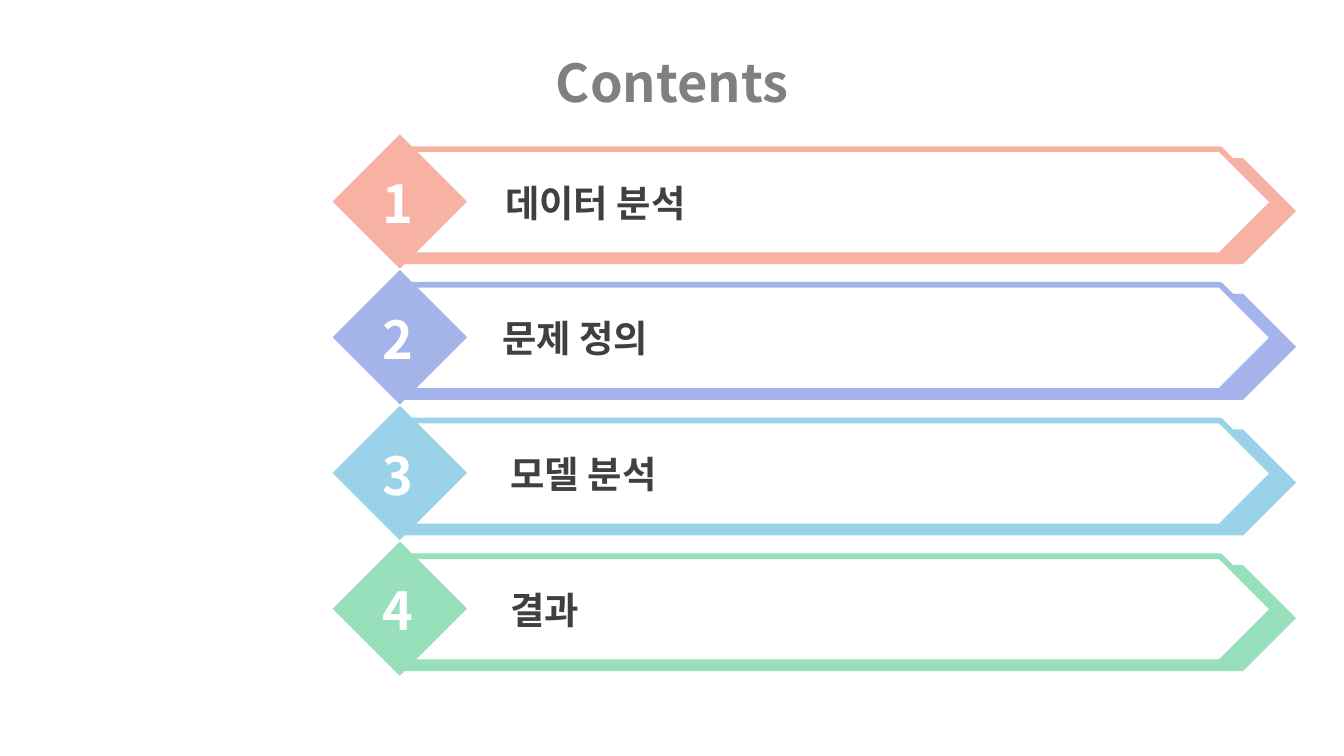
import pptx
import pptx.util
import pptx.dml.color
import pptx.enum.shapes
import pptx.enum.text
import pptx.oxml.ns
import lxml.etree

Pt = pptx.util.Pt
RGB = pptx.dml.color.RGBColor
KIND = pptx.enum.shapes.MSO_SHAPE
ALIGN = pptx.enum.text.PP_ALIGN
ANCHOR = pptx.enum.text.MSO_ANCHOR
FIT = pptx.enum.text.MSO_AUTO_SIZE

FONT = "Noto Sans CJK KR"
WHITE = RGB(0xFF, 0xFF, 0xFF)
GREY = RGB(0x80, 0x80, 0x80)
DARK = RGB(0x40, 0x40, 0x40)
CORAL = RGB(0xF8, 0xB2, 0xA3)
VIOLET = RGB(0xA4, 0xB4, 0xEA)
SKY = RGB(0x9A, 0xD3, 0xE9)
MINT = RGB(0x98, 0xDF, 0xBB)

TOP = 72
STEP = 72.7
ITEMS = [
    ("데이터 분석", CORAL, 263.5),
    ("문제 정의", VIOLET, 262),
    ("모델 분석", SKY, 266.4),
    ("결과", MINT, 266.4),
]


class Page:
    def __init__(self, deck):
        self.slide = deck.slides.add_slide(deck.slide_layouts[5])

    def style(self, frame, text, size, color, align):
        frame.word_wrap = True
        para = frame.paragraphs[0]
        para.text = text
        para.alignment = align
        font = para.font
        font.name = FONT
        font.size = Pt(size)
        font.bold = True
        font.color.rgb = color
        props = para._p.pPr.find(pptx.oxml.ns.qn("a:defRPr"))
        asian = lxml.etree.SubElement(props, pptx.oxml.ns.qn("a:ea"))
        asian.set("typeface", FONT)

    def title(self, text, left, top, width, height):
        head = self.slide.shapes.title
        head.left, head.top = Pt(left), Pt(top)
        head.width, head.height = Pt(width), Pt(height)
        head.text_frame.vertical_anchor = ANCHOR.MIDDLE
        self.style(head.text_frame, text, 28, GREY, ALIGN.CENTER)

    def text(self, text, left, top, width, height, size, color,
             align=ALIGN.LEFT, anchor=ANCHOR.TOP):
        box = self.slide.shapes.add_textbox(
            Pt(left), Pt(top), Pt(width), Pt(height))
        box.text_frame.auto_size = FIT.SHAPE_TO_FIT_TEXT
        box.text_frame.vertical_anchor = anchor
        self.style(box.text_frame, text, size, color, align)

    def shape(self, group, kind, left, top, width, height, fill, line=None):
        form = group.shapes.add_shape(
            kind, Pt(left), Pt(top), Pt(width), Pt(height))
        form.shadow.inherit = False
        form.fill.solid()
        form.fill.fore_color.rgb = fill
        if line is None:
            form.line.fill.background()
        else:
            form.line.color.rgb = line
            form.line.width = Pt(3)

    def banner(self, top, color):
        group = self.slide.shapes.add_group_shape()
        self.shape(group, KIND.PENTAGON, 216.3, top + 12.7, 478, 56.8, color)
        self.shape(group, KIND.PENTAGON, 216.3, top + 7.9, 465.7, 56.8,
                   WHITE, color)
        self.shape(group, KIND.DIAMOND, 178.2, top, 72, 72, color)

    def item(self, number, label, color, left):
        top = TOP + (number - 1) * STEP
        self.banner(top, color)
        self.text(str(number), 197.3, top + 16.2, 31.7, 41, 28, WHITE,
                  ALIGN.CENTER, ANCHOR.MIDDLE)
        self.text(label, left, top + 20.8, 374.4, 31.7, 20, DARK)


def main():
    deck = pptx.Presentation()
    deck.slide_width, deck.slide_height = Pt(720), Pt(405)
    page = Page(deck)
    page.title("Contents", 0, 21, 720, 45)
    for number, (label, color, left) in enumerate(ITEMS, 1):
        page.item(number, label, color, left)
    deck.save("out.pptx")


if __name__ == "__main__":
    main()
